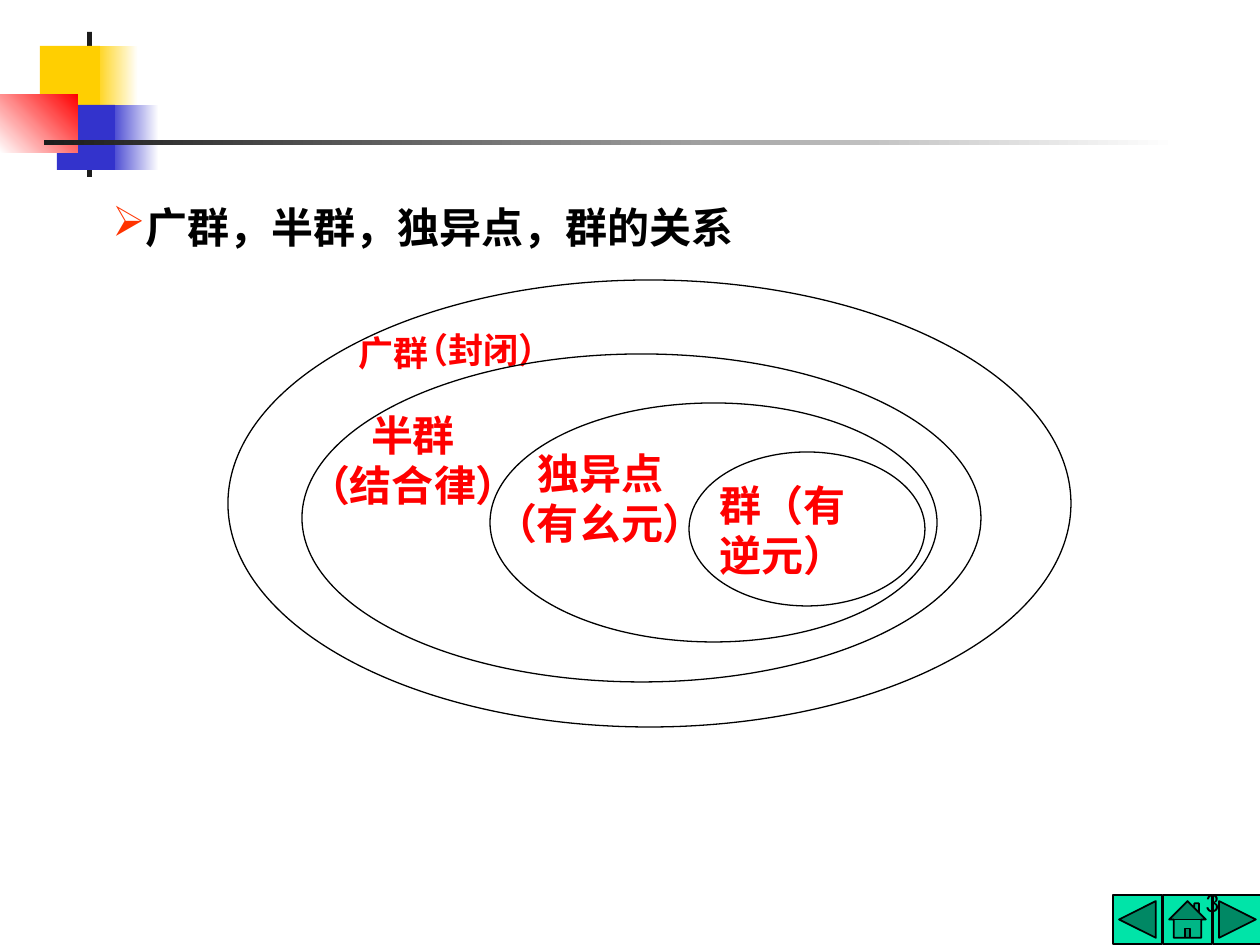
from lxml.etree import SubElement
from pptx import Presentation
from pptx.dml.color import RGBColor
from pptx.enum.shapes import MSO_SHAPE
from pptx.enum.text import MSO_ANCHOR, PP_ALIGN
from pptx.oxml.ns import qn
from pptx.util import Emu, Pt

EMU_PER_PX = 914400 / 126

BLACK = RGBColor(0x00, 0x00, 0x00)
CHARCOAL = RGBColor(0x1C, 0x1C, 0x1C)
WHITE = RGBColor(0xFF, 0xFF, 0xFF)
YELLOW = RGBColor(0xFF, 0xCF, 0x01)
BLUE = RGBColor(0x33, 0x33, 0xCC)
RED = RGBColor(0xFF, 0x00, 0x00)
ORANGE = RGBColor(0xFF, 0x33, 0x00)
GREEN = RGBColor(0x00, 0xE4, 0xA8)

# box, colours (two make a gradient), gradient angle
DECORATION = [
    ((93, 46, 45, 66), (YELLOW, WHITE), 0),
    ((108, 105, 51, 65), (BLUE, WHITE), 0),
    ((87, 32, 5, 145), (CHARCOAL,), 0),
    ((40, 46, 60, 66), (YELLOW,), 0),
    ((57, 105, 58, 65), (BLUE,), 0),
    ((0, 94, 78, 59), (WHITE, RED), 45),
    ((44, 140, 1134, 5), (CHARCOAL, WHITE), 0),
]

BUTTONS = [
    MSO_SHAPE.ACTION_BUTTON_BACK_OR_PREVIOUS,
    MSO_SHAPE.ACTION_BUTTON_HOME,
    MSO_SHAPE.ACTION_BUTTON_FORWARD_OR_NEXT,
]
BUTTON_LEFT, BUTTON_TOP, BUTTON_SIZE, BUTTON_STEP = 1113, 895, 49, 50

# nested sets, outermost first: ellipse, label box, label lines, label format
SETS = [
    ((228, 280, 843, 447), (384, 280, 200, 97), ["（封闭）"],
     {"size": 20, "anchor": MSO_ANCHOR.BOTTOM}),
    ((302, 354, 679, 328), (278, 403, 270, 113), ["半群", "（结合律）"], {}),
    ((490, 403, 447, 239), (465, 441, 270, 113), ["独异点", "（有幺元）"], {}),
    ((689, 452, 236, 154), (692, 473, 180, 113), ["群（有", "逆元）"], {}),
]


def px(n):
    return Emu(round(n * EMU_PER_PX))


def add_shape(slide, kind, box, colors=(), angle=0, line_width=None):
    """Add a preset shape: no colour is hollow, one is solid, two a gradient."""
    s = slide.shapes.add_shape(kind, *map(px, box))
    s.shadow.inherit = False
    if len(colors) == 2:
        s.fill.gradient()
        s.fill.gradient_angle = angle
        for stop, color in zip(s.fill.gradient_stops, colors):
            stop.color.rgb = color
    elif colors:
        s.fill.solid()
        s.fill.fore_color.rgb = colors[0]
    else:
        s.fill.background()
    if line_width:
        s.line.color.rgb = BLACK
        s.line.width = Pt(line_width)
    else:
        s.line.fill.background()
    return s


def add_bullet(p, char, color):
    pPr = p._p.get_or_add_pPr()
    clr = SubElement(pPr, qn("a:buClr"))
    SubElement(clr, qn("a:srgbClr"), val=str(color))
    SubElement(pPr, qn("a:buChar"), char=char)


def add_text(slide, box, lines, size=24, color=RED, bold=True,
             font="Times New Roman", align=PP_ALIGN.LEFT,
             anchor=MSO_ANCHOR.TOP, bullet=None):
    tf = slide.shapes.add_textbox(*map(px, box)).text_frame
    tf.word_wrap = True
    tf.vertical_anchor = anchor
    for i, line in enumerate(lines):
        p = tf.add_paragraph() if i else tf.paragraphs[0]
        p.alignment = align
        if bullet:
            add_bullet(p, bullet, ORANGE)
        r = p.add_run()
        r.text = line
        for name, value in {"size": Pt(size), "bold": bold, "name": font}.items():
            setattr(r.font, name, value)
        r.font.color.rgb = color


def add_decoration(slide):
    for box, colors, angle in DECORATION:
        add_shape(slide, MSO_SHAPE.RECTANGLE, box, colors, angle)


def add_navigation(slide):
    for i, kind in enumerate(BUTTONS):
        box = (BUTTON_LEFT + i * BUTTON_STEP, BUTTON_TOP, BUTTON_SIZE, BUTTON_SIZE)
        add_shape(slide, kind, box, (GREEN,), line_width=1)
    add_text(slide, (970, 861, 262, 63), ["3"], size=14, color=BLACK, bold=False,
             font="Lato", align=PP_ALIGN.RIGHT, anchor=MSO_ANCHOR.BOTTOM)


def add_nested_sets(slide):
    for ellipse, label_box, lines, label_format in SETS:
        add_shape(slide, MSO_SHAPE.OVAL, ellipse, line_width=0.75)
        add_text(slide, label_box, lines, align=PP_ALIGN.CENTER, **label_format)
    add_text(slide, (346, 325, 116, 55), ["广群"], size=20)


def main():
    prs = Presentation()
    prs.slide_width, prs.slide_height = px(1260), px(945)
    slide = prs.slides.add_slide(prs.slide_layouts[6])
    add_decoration(slide)
    add_navigation(slide)
    add_text(slide, (100, 195, 946, 63), ["广群，半群，独异点，群的关系"],
             color=BLACK, bullet="➢")
    add_nested_sets(slide)
    prs.save("out.pptx")


if __name__ == "__main__":
    main()
